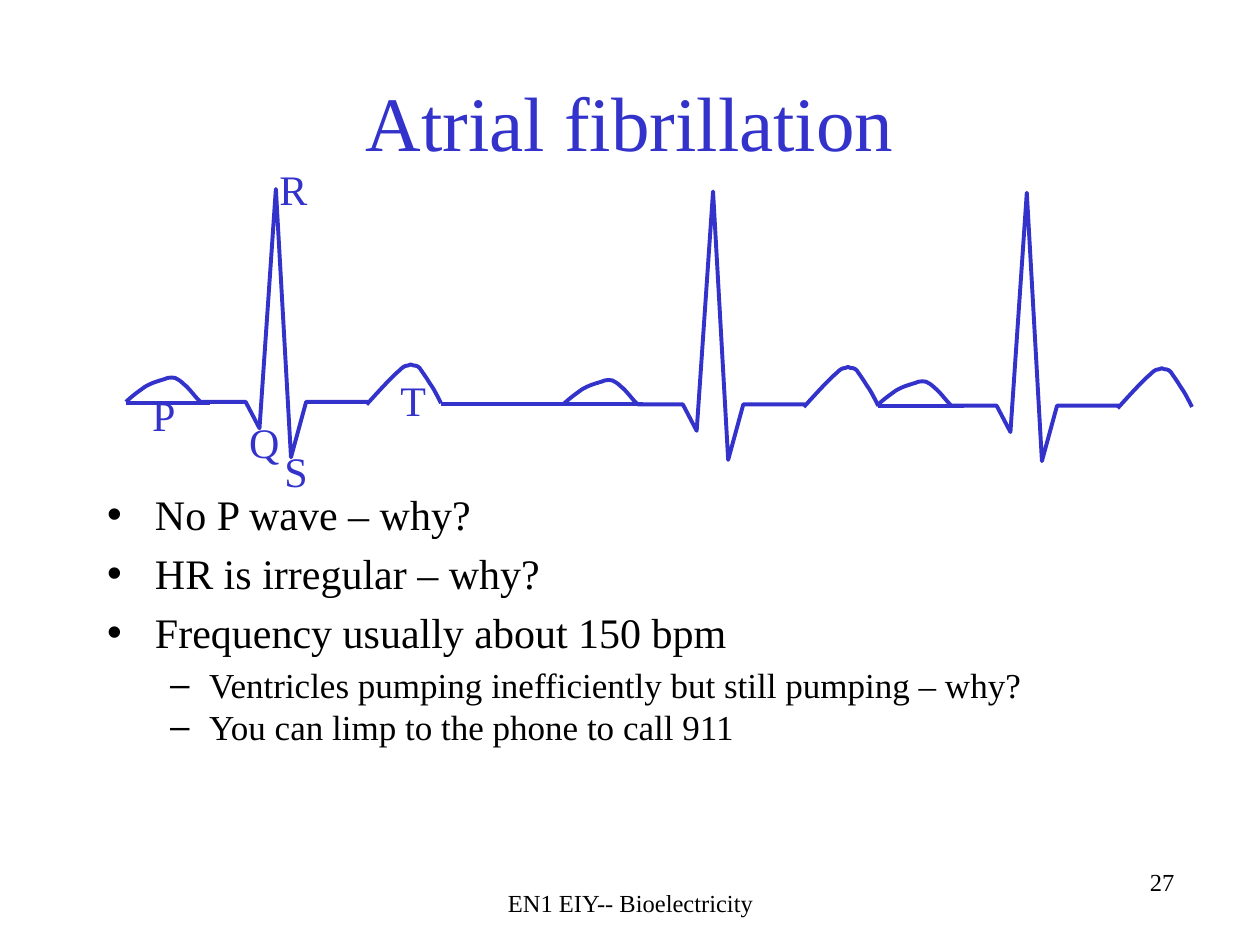
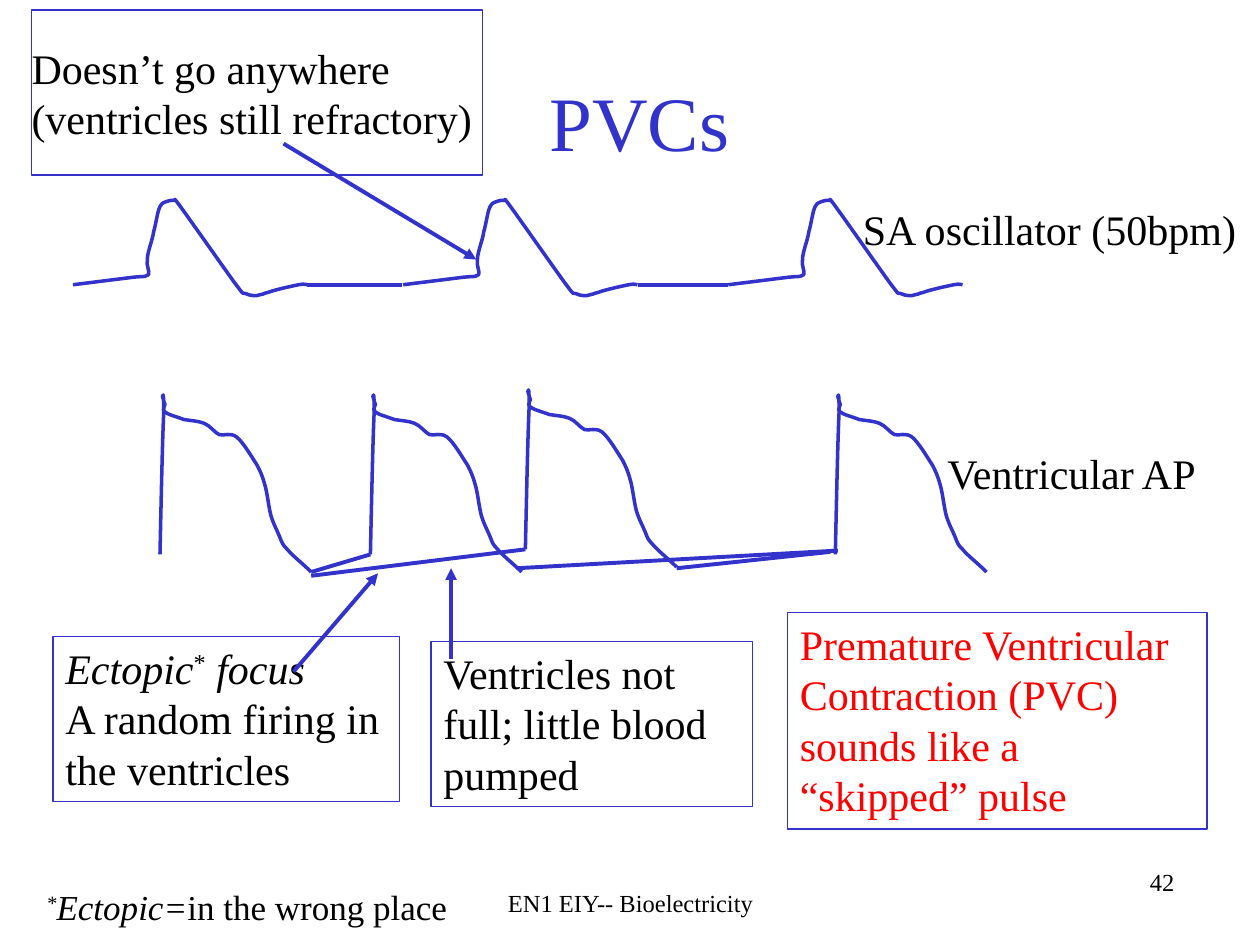
from dataclasses import dataclass
from lxml.etree import SubElement
from pptx import Presentation
from pptx.dml.color import RGBColor as RGB
from pptx.enum.shapes import MSO_CONNECTOR as CONN, MSO_SHAPE as SHAPE
from pptx.enum.text import MSO_ANCHOR as ANCHOR, MSO_AUTO_SIZE as FIT, PP_ALIGN as ALIGN
from pptx.oxml.ns import qn
from pptx.util import Inches, Pt


@dataclass(frozen=True)
class Theme:
    font: str = "Times New Roman"
    ink: RGB = RGB(0, 0, 0)
    blue: RGB = RGB(0x33, 0x33, 0xCC)
    red: RGB = RGB(255, 0, 0)
    title: int = 44
    text: int = 24
    small: int = 20
    footer: int = 14
    trace: float = 2.25
    potential: float = 2
    frame: float = 0.75


T = Theme()
WIDTH, HEIGHT = 10, 7.5
FOOTER = "EN1 EIY-- Bioelectricity"

P_WAVE = [(0, 0), (.05, -.05), (.11, -.09), (.15, -.12), (.2, -.15), (.24, -.16),
          (.27, -.17), (.3, -.18), (.31, -.18), (.33, -.19), (.35, -.19), (.37, -.2),
          (.39, -.19), (.41, -.18), (.43, -.17), (.46, -.14), (.5, -.11), (.54, -.05),
          (.59, 0)]
QRS = [(0, 0), (.36, 0), (.47, .21), (.6, -1.69), (.72, .44), (.84, 0), (1.33, 0)]
T_WAVE = [(0, 0), (.1, -.11), (.2, -.22), (.26, -.27), (.31, -.32), (.31, -.3),
          (.33, -.31), (.35, -.32), (.35, -.32), (.37, -.31), (.38, -.31), (.4, -.31),
          (.42, -.29), (.44, -.26), (.47, -.22), (.5, -.17), (.53, -.13), (.56, -.07),
          (.59, -.01)]
SA_PULSE = [(0, 0), (.48, -.06), (.58, -.07), (.58, -.06),
            (.6, -.08), (.61, -.11), (.58, -.15), (.59, -.2), (.59, -.26), (.63, -.35),
            (.64, -.42), (.66, -.49), (.67, -.58), (.69, -.62), (.71, -.66), (.73, -.65),
            (.74, -.66), (.76, -.67), (.78, -.67), (.8, -.67), (.82, -.66), (.78, -.72),
            (.86, -.61), (.94, -.5), (1.2, -.13), (1.28, -.02), (1.37, .1), (1.34, .06),
            (1.37, .07), (1.41, .09), (1.46, .09), (1.48, .08), (1.51, .08), (1.5, .07),
            (1.55, .06), (1.6, .04), (1.74, .01), (1.79, 0), (1.84, -.01), (1.85, 0),
            (1.86, 0)]
VENTRICULAR_AP = [(0, 0), (.01, -.46), (.02, -.92), (.03, -1.13), (.03, -1.34),
                  (.02, -1.24), (.02, -1.25), (.02, -1.26), (.03, -1.21), (.04, -1.19),
                  (.04, -1.17), (.01, -1.15), (.04, -1.13), (.06, -1.11), (.14, -1.09),
                  (.19, -1.07), (.25, -1.06), (.3, -1.06), (.35, -1.04), (.4, -1.02),
                  (.43, -.97), (.47, -.95), (.51, -.94), (.56, -.97), (.61, -.93),
                  (.66, -.89), (.73, -.77), (.77, -.71), (.8, -.65), (.81, -.63),
                  (.83, -.56), (.85, -.5), (.86, -.39), (.88, -.31), (.9, -.24),
                  (.93, -.19), (.95, -.14), (.97, -.09), (.97, -.08), (1.01, -.04),
                  (1.05, .01), (1.13, .07), (1.2, .14)]

FIBRILLATION = {
    "title": "Atrial fibrillation",
    "number": "27",
    "bullets": [
        (0, "No P wave – why?", 0),
        (0, "HR is irregular – why?", 4.8),
        (0, "Frequency usually about 150 bpm", 4.8),
        (1, "Ventricles pumping inefficiently but still pumping – why?", 4),
        (1, "You can limp to the phone to call 911", 0),
    ],
    "beats": [(1, 3.19), (4.47, 3.21), (6.96, 3.22)],
    "baselines": [((3.5, 3.21), (4.5, 3.21)), ((1, 3.2), (1.67, 3.2)),
                  ((6.97, 3.22), (7.65, 3.22)), ((4.43, 3.21), (5.1, 3.21))],
    "letters": {"P": (1.11, 3.04), "Q": (1.88, 3.26), "R": (2.12, 1.25),
                "S": (2.16, 3.49), "T": (3.08, 2.92)},
}

PVC = {
    "title": "PVCs",
    "number": "42",
    "sa_pulses": [(.58, 2.26), (3.2, 2.26), (5.78, 2.26)],
    "potentials": [(1.27, 4.4), (2.94, 4.4), (6.63, 4.4), (4.17, 4.36)],
    "links": [((2.47, 4.54), (2.94, 4.4)), ((4.1, 4.51), (6.65, 4.37)),
              ((2.44, 2.26), (3.19, 2.26)), ((5.06, 2.26), (5.78, 2.26)),
              ((2.47, 4.57), (4.17, 4.36)), ((5.37, 4.51), (6.59, 4.38))],
    "labels": [("SA oscillator (50bpm)", (6.75, 1.57, 3.25, .5)),
               ("Ventricular AP", (7.42, 3.5, 2.33, .5))],
    "notes": [
        ([[("Ectopic", "i"), ("*", "^"), (" focus", "i")],
          [("A random firing in the ventricles", "")]],
         (.42, 5.05, 2.75, 1.31), {"grow": True}),
        ([[("Ventricles not full; little blood pumped", "")]],
         (3.42, 5.09, 2.55, 1.31), {"grow": True}),
        ([[("Doesn’t go anywhere (ventricles still refractory)", "")]],
         (.25, .08, 3.58, 1.31), {"inset": 0, "anchor": ANCHOR.MIDDLE}),
        ([[("Premature Ventricular Contraction (PVC) sounds like a “skipped” pulse", "")]],
         (6.25, 4.86, 3.33, 1.72), {"color": T.red, "grow": True}),
    ],
    "arrows": [((2.33, 5.33), (3, 4.55)), ((3.58, 5.23), (3.58, 4.51)),
               ((2.25, 1.14), (3.78, 2.06))],
    "footnote": [[("*", "i^"), ("Ectopic=", "i"), ("in the wrong place", "")]],
}


def place(sp, at):
    for name, value in zip(("left", "top", "width", "height"), at):
        setattr(sp, name, Inches(value))


def style(font, size, color, **extra):
    for name, value in {"name": T.font, "size": Pt(size), **extra}.items():
        setattr(font, name, value)
    font.color.rgb = color


def write(tf, paragraphs, size=T.text, color=T.ink, align=ALIGN.LEFT,
          anchor=ANCHOR.TOP, inset=None, grow=False):
    frame = {"word_wrap": True, "vertical_anchor": anchor,
             "auto_size": FIT.SHAPE_TO_FIT_TEXT if grow else FIT.NONE}
    if inset is not None:
        sides = ("left", "right", "top", "bottom")
        frame |= {f"margin_{side}": Inches(inset) for side in sides}
    for name, value in frame.items():
        setattr(tf, name, value)
    for i, runs in enumerate(paragraphs):
        p = tf.add_paragraph() if i else tf.paragraphs[0]
        p.alignment = align
        for text, marks in runs:
            r = p.add_run()
            r.text = text
            style(r.font, size, color, italic="i" in marks)
            if "^" in marks:
                r._r.get_or_add_rPr().set("baseline", "30000")


def add_text(s, text, at, **fmt):
    paragraphs = [[(text, "")]] if isinstance(text, str) else text
    sp = s.shapes.add_textbox(*map(Inches, at))
    write(sp.text_frame, paragraphs, **fmt)


def add_note(s, paragraphs, at, fmt):
    sp = s.shapes.add_shape(SHAPE.RECTANGLE, *map(Inches, at))
    outline(sp, T.frame)
    write(sp.text_frame, paragraphs, **fmt)


def outline(sp, weight):
    sp.shadow.inherit = False
    sp.fill.background()
    sp.line.color.rgb = T.blue
    sp.line.width = Pt(weight)


def add_line(s, start, end, arrow=False):
    sp = s.shapes.add_connector(CONN.STRAIGHT, *map(Inches, (*start, *end)))
    sp.line.color.rgb = T.blue
    sp.line.width = Pt(T.trace)
    if arrow:
        SubElement(sp.line._get_or_add_ln(), qn("a:tailEnd"), type="triangle")
    SubElement(sp._element.spPr, qn("a:effectLst"))


def add_trace(s, points, origin, weight=T.trace):
    x0, y0 = origin
    points = [(Inches(x0 + x), Inches(y0 + y)) for x, y in points]
    builder = s.shapes.build_freeform(*points[0])
    builder.add_line_segments(points[1:], close=False)
    sp = builder.convert_to_shape()
    outline(sp, weight)
    return sp


def add_curve(s, points, origin, weight=T.trace):
    sp = add_trace(s, points, origin, weight)
    route = next(sp._element.iter(qn("a:path")))
    segments = route.findall(qn("a:lnTo"))
    straight = len(segments) % 3
    for i in range(straight, len(segments), 3):
        bezier = SubElement(route, qn("a:cubicBezTo"))
        for segment in segments[i:i + 3]:
            bezier.append(segment[0])
            route.remove(segment)


def add_slide(prs, layout, content, title_width=8.5):
    s = prs.slides.add_slide(prs.slide_layouts[layout])
    place(s.shapes.title, (.75, .33, title_width, 1.25))
    write(s.shapes.title.text_frame, [[(content["title"], "")]], size=T.title,
          color=T.blue, align=ALIGN.CENTER, anchor=ANCHOR.MIDDLE)
    add_text(s, content["number"], (6.25, 6.83, 3.17, .5), size=T.footer, align=ALIGN.RIGHT)
    add_text(s, FOOTER, (3.42, 7, 3.17, .33), size=T.footer, align=ALIGN.CENTER)
    return s


def add_bullets(sp, bullets):
    levels = [("•", .38, -.38, T.text), ("–", .81, -.31, T.small)]
    place(sp, (.75, 3.83, 8.5, 2.98))
    tf = sp.text_frame
    tf.auto_size = FIT.NONE
    for i, (level, text, before) in enumerate(bullets):
        mark, margin, indent, size = levels[level]
        p = tf.add_paragraph() if i else tf.paragraphs[0]
        p.level = level
        p.space_before = Pt(before)
        pPr = p._p.get_or_add_pPr()
        pPr.set("marL", str(Inches(margin)))
        pPr.set("indent", str(Inches(indent)))
        SubElement(pPr, qn("a:buChar"), char=mark)
        r = p.add_run()
        r.text = text
        style(r.font, size, T.ink)


def build_fibrillation(prs):
    c = FIBRILLATION
    s = add_slide(prs, 1, c)
    add_bullets(s.placeholders[1], c["bullets"])
    for x, y in c["beats"]:
        add_curve(s, P_WAVE, (x, y))
        add_curve(s, T_WAVE, (x + 1.91, y + .02))
        add_trace(s, QRS, (x + .59, y))
    for start, end in c["baselines"]:
        add_line(s, start, end)
    for letter, (x, y) in c["letters"].items():
        add_text(s, letter, (x, y, .33, .5), color=T.blue, grow=True)


def build_pvc(prs):
    c = PVC
    s = add_slide(prs, 5, c, title_width=8.65)
    for curve, key in ((SA_PULSE, "sa_pulses"), (VENTRICULAR_AP, "potentials")):
        for origin in c[key]:
            add_curve(s, curve, origin, T.potential)
    for start, end in c["links"]:
        add_line(s, start, end)
    for text, at in c["labels"]:
        add_text(s, text, at, grow=True)
    for note in c["notes"]:
        add_note(s, *note)
    for start, end in c["arrows"]:
        add_line(s, start, end, arrow=True)
    add_text(s, c["footnote"], (.27, 6.98, 3.5, .44), size=T.small, grow=True)


def main():
    prs = Presentation()
    prs.slide_width, prs.slide_height = Inches(WIDTH), Inches(HEIGHT)
    build_fibrillation(prs)
    build_pvc(prs)
    prs.save("out.pptx")


if __name__ == "__main__":
    main()
